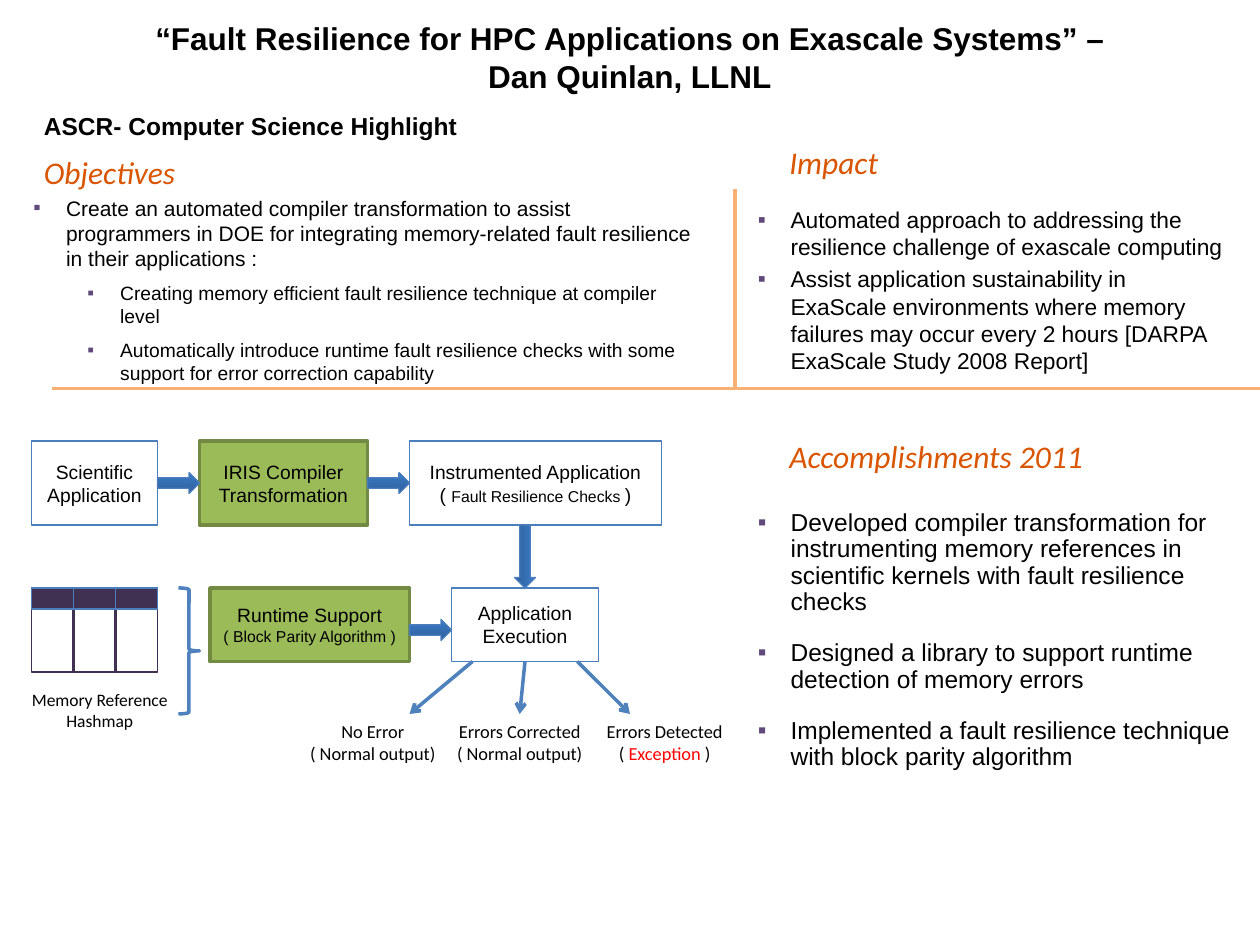
import pptx
import pptx.util
import pptx.dml.color
import pptx.enum.shapes
import pptx.enum.text
import pptx.oxml
import pptx.oxml.ns
import lxml.etree
import dataclasses

KIND = pptx.enum.shapes.MSO_SHAPE
ALIGN = pptx.enum.text.PP_ALIGN
MIDDLE = pptx.enum.text.MSO_ANCHOR.MIDDLE
TOP = pptx.enum.text.MSO_ANCHOR.TOP


@dataclasses.dataclass(frozen=True)
class Theme:
    sans: str = "Arial"
    light: str = "Calibri"
    ink: str = "000000"
    head: str = "DA5500"
    rule: str = "F9B074"
    mark: str = "604A7B"
    edge: str = "4B7EBC"
    link: str = "4F81BD"
    green: str = "9BBB59"
    moss: str = "738A42"
    dark: str = "403152"
    alert: str = "FF0000"
    deep: str = "2F5F99"
    pale: str = "3A7CCB"
    title: float = 18
    sub: float = 14
    aim: float = 12
    gain: float = 13
    node: float = 11
    out: float = 10.5
    tag: float = 10
    small: float = 9


look = Theme()


def step(count):
    return pptx.util.Cm(count * 2.54 / 12)


def color(code):
    return pptx.dml.color.RGBColor.from_string(code)


def add_run(para, words, size, font=look.sans, ink=look.ink, bold=None, slant=None):
    run = para.add_run()
    run.text = words
    run.font.size = pptx.util.Pt(size)
    run.font.name = font
    run.font.color.rgb = color(ink)
    run.font.bold = bold
    run.font.italic = slant


def next_para(frame, first):
    return frame.paragraphs[0] if first else frame.add_paragraph()


def put_lines(frame, lines, size, font=look.sans):
    for num, line in enumerate(lines):
        para = next_para(frame, num == 0)
        para.alignment = ALIGN.CENTER
        for words, style in line:
            add_run(para, words, **{"size": size, "font": font, **style})


def text_box(page, x, y, wide, high, wrap=True, anchor=TOP):
    frame = page.add_textbox(*map(step, (x, y, wide, high))).text_frame
    frame.word_wrap = wrap
    frame.vertical_anchor = anchor
    return frame


def add_block(page, kind, x, y, wide, high, fill=None, edge=look.edge, weight=0.75):
    block = page.add_shape(kind, *map(step, (x, y, wide, high)))
    block.shadow.inherit = False
    if fill:
        block.fill.solid()
        block.fill.fore_color.rgb = color(fill)
    else:
        block.fill.background()
    block.line.color.rgb = color(edge)
    block.line.width = pptx.util.Pt(weight)
    return block


def add_line(page, x, y, end_x, end_y, ink, weight=2, arrow=False):
    line = page.add_connector(pptx.enum.shapes.MSO_CONNECTOR.STRAIGHT,
                              *map(step, (x, y, end_x, end_y)))
    line.line.color.rgb = color(ink)
    line.line.width = pptx.util.Pt(weight)
    if arrow:
        lxml.etree.SubElement(line.line._get_or_add_ln(),
                              pptx.oxml.ns.qn("a:tailEnd"), type="arrow")
    lxml.etree.SubElement(line._element.spPr, pptx.oxml.ns.qn("a:effectLst"))


def add_arrow(page, x, y, wide, turn=0):
    arrow = add_block(page, KIND.RIGHT_ARROW, x, y, wide, 2, look.deep)
    arrow.rotation = turn
    arrow.fill.gradient()
    arrow.fill.gradient_angle = 90
    for stop, ink in zip(arrow.fill.gradient_stops, (look.deep, look.pale)):
        stop.color.rgb = color(ink)


def add_node(page, x, y, wide, high, lines, green=False):
    style = (look.green, look.moss, 2) if green else ()
    frame = add_block(page, KIND.RECTANGLE, x, y, wide, high, *style).text_frame
    frame.word_wrap = True
    frame.vertical_anchor = MIDDLE
    put_lines(frame, lines, look.node)


def add_list(page, box, items, before, space=None):
    frame = text_box(page, *box)
    for num, (level, words, size) in enumerate(items):
        para = next_para(frame, num == 0)
        para.level = level
        para.space_before = pptx.util.Pt(before)
        para.line_spacing = space
        props = para._p.get_or_add_pPr()
        props.set("marL", str(pptx.util.Cm((0.66, 1.75)[level])))
        props.set("indent", str(pptx.util.Cm(-0.66)))
        tint = lxml.etree.SubElement(props, pptx.oxml.ns.qn("a:buClr"))
        lxml.etree.SubElement(tint, pptx.oxml.ns.qn("a:srgbClr"), val=look.mark)
        lxml.etree.SubElement(props, pptx.oxml.ns.qn("a:buFont"), typeface=look.sans)
        lxml.etree.SubElement(props, pptx.oxml.ns.qn("a:buChar"), char="\u25aa")
        add_run(para, words, size)


def add_panel(page, box, head, head_at, items, before, space=None):
    x, y = box[:2]
    left, top, wide = head_at
    frame = text_box(page, x + left, y + top, wide, 4.8)
    add_run(frame.paragraphs[0], head, look.title, look.light, look.head, slant=True)
    add_list(page, box, items, before, space)


def add_top(page, x, y, wide):
    para = text_box(page, x, y, wide, 4.8, anchor=MIDDLE).paragraphs[0]
    para.alignment = ALIGN.CENTER
    add_run(para, "“Fault Resilience for HPC Applications on Exascale Systems” –",
            look.title, bold=True)
    para.add_line_break()
    add_run(para, "Dan Quinlan, LLNL", look.title, bold=True)
    frame = text_box(page, x + 3, y + 7, 47, 4)
    add_run(frame.paragraphs[0], "ASCR- Computer Science Highlight", look.sub, bold=True)


def add_rules(page, x, y, wide):
    add_line(page, x, y, x + wide, y, look.rule)
    add_line(page, x + 65, y - 19, x + 65, y, look.rule)


def add_build(page, x, y):
    add_node(page, x, y, 12, 8, [[("Scientific", {})], [("Application", {})]])
    add_node(page, x + 16, y, 16, 8, [[("IRIS Compiler Transformation", {})]], True)
    add_node(page, x + 36, y, 24, 8, [
        [("Instrumented Application", {})],
        [("( ", {}), ("Fault Resilience Checks ", {"size": look.small}), (")", {})]])
    for left in (12, 32):
        add_arrow(page, x + left, y + 3, 4)
    add_arrow(page, x + 44, y + 10, 6, 90)


def add_map(page, x, y):
    add_block(page, KIND.RECTANGLE, x, y, 12, 8, edge=look.dark)
    for left in (4, 8):
        add_line(page, x + left, y + 2, x + left, y + 8, look.dark, 1.5)
    for left in (0, 4, 8):
        add_block(page, KIND.RECTANGLE, x + left, y, 4, 2, look.dark)
    put_lines(text_box(page, x - 1.3, y + 9, 15.6, 5.3, False),
              [[("Memory Reference", {})], [("Hashmap", {})]], look.tag, look.light)
    add_block(page, KIND.RIGHT_BRACE, x + 14, y, 2, 12, edge=look.link, weight=2)


def add_runtime(page, x, y):
    add_node(page, x, y, 19, 7, [
        [("Runtime Support", {})],
        [("( Block Parity Algorithm )", {"size": look.small})]], True)
    add_arrow(page, x + 19, y + 3, 4)
    add_node(page, x + 23, y, 14, 7, [[("Application", {})], [("Execution", {})]])
    normal = [("( Normal output)", {})]
    alert = [("(", {}), (" Exception", {"ink": look.alert}), (" )", {})]
    ends = [(25, 19, 15.5, "No Error", normal),
            (30, 29.5, 29.5, "Errors Corrected", normal),
            (35, 40, 43.3, "Errors Detected", alert)]
    for start, tip, mid, name, note in ends:
        add_line(page, x + start, y + 7, x + tip, y + 12, look.link, arrow=True)
        put_lines(text_box(page, x + mid - 7.5, y + 12, 15, 5.5, False),
                  [[(name, {})], note], look.out, look.light)


deck = pptx.Presentation()
deck.slide_width = step(120)
deck.slide_height = step(90)
page = deck.slides.add_slide(deck.slide_layouts[6]).shapes

add_top(page, 0, 3, 120)
add_rules(page, 5, 37, 115)
add_panel(page, (2, 18, 66, 18), "Objectives", (1, -4, 18.5), [
    (0, "Create an automated compiler transformation to assist programmers in DOE for "
        "integrating memory-related fault resilience in their applications :", look.aim),
    (1, "Creating memory efficient fault resilience technique at compiler level", look.node),
    (1, "Automatically introduce runtime fault resilience checks with some support for "
        "error correction capability", look.node)], 6)
add_panel(page, (71, 19, 46.8, 16), "Impact", (3, -6, 11), [
    (0, "Automated approach to addressing the resilience challenge of exascale computing",
     look.gain),
    (0, "Assist application sustainability in ExaScale environments where memory failures "
        "may occur every 2 hours [DARPA ExaScale Study 2008 Report]", look.gain)], 2.6)
add_panel(page, (71, 48, 48, 26), "Accomplishments 2011", (3, -7, 32), [
    (0, "Developed compiler transformation for instrumenting memory references in "
        "scientific kernels with fault resilience checks", look.sub),
    (0, "Designed a library to support runtime detection of memory errors", look.sub),
    (0, "Implemented a fault resilience technique with block parity algorithm", look.sub),
], 14, 0.9)
add_build(page, 3, 42)
add_map(page, 3, 56)
add_runtime(page, 20, 56)

deck.save("out.pptx")
